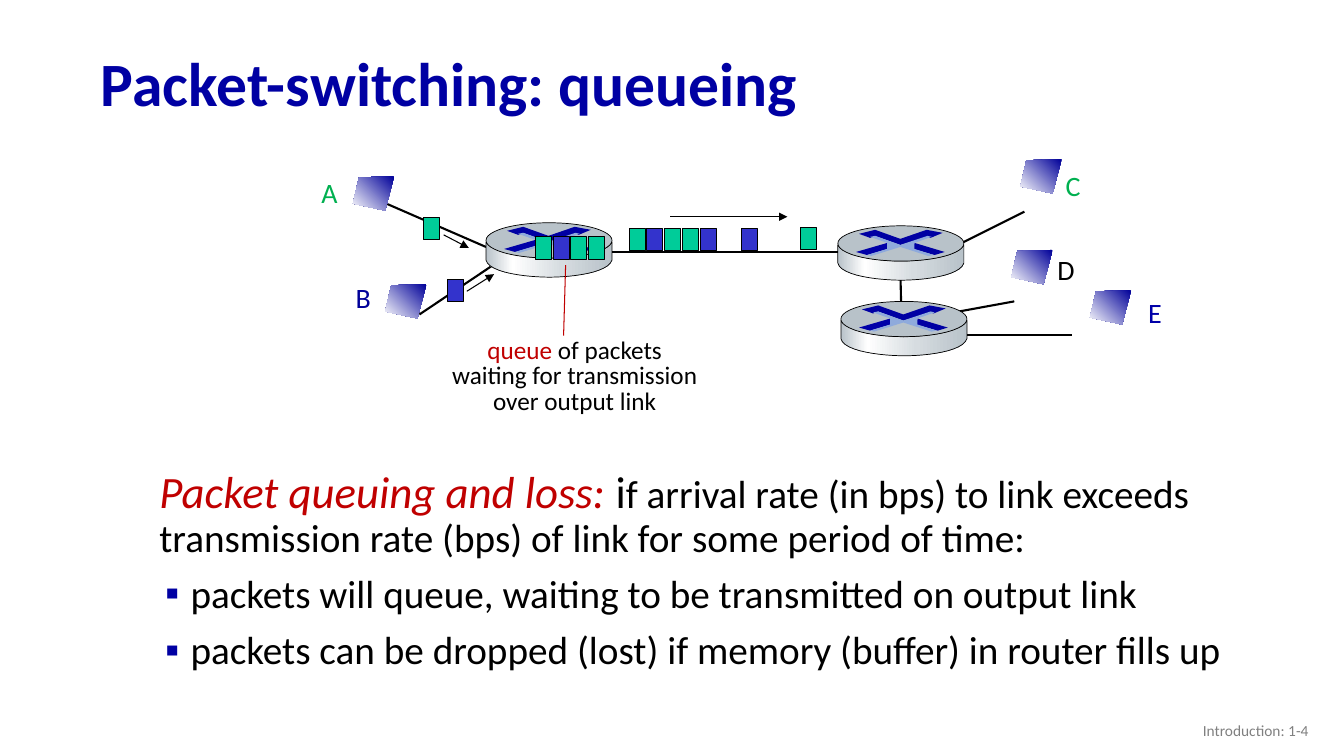
from dataclasses import dataclass

from lxml import etree
from pptx import Presentation
from pptx.dml.color import RGBColor
from pptx.enum.shapes import MSO_CONNECTOR, MSO_SHAPE
from pptx.enum.text import MSO_ANCHOR, MSO_AUTO_SIZE, PP_ALIGN
from pptx.oxml.ns import qn
from pptx.util import Inches, Pt

RECT, OVAL = MSO_SHAPE.RECTANGLE, MSO_SHAPE.OVAL
LINE = MSO_CONNECTOR.STRAIGHT
LEFT, MID, RIGHT = PP_ALIGN.LEFT, PP_ALIGN.CENTER, PP_ALIGN.RIGHT
TOP, CENTER = MSO_ANCHOR.TOP, MSO_ANCHOR.MIDDLE
FIXED = MSO_AUTO_SIZE.NONE
FONT = "Calibri"
BLACK, NAVY, RED, GREEN = "000000", "0000A3", "C00000", "00B050"
TEAL, BLUE, STEEL = "00CC99", "3333CC", "B8C2C9"
METAL = [(0, STEEL), (21, "FFFFFF"), (60, "D6DCE0"), (100, STEEL)]
GLASS = [(0, "000099"), (100, "FFFFFF")]

Points = list[tuple[float, float]]


@dataclass
class Link:
    x1: float
    y1: float
    x2: float
    y2: float
    width: float = 1.5
    color: str = BLACK
    arrow: bool = False


@dataclass
class Packet:
    x: float
    y: float
    color: str


@dataclass
class Host:
    name: str
    color: str
    x: float
    y: float
    text_x: float
    text_y: float


@dataclass
class Span:
    text: str
    size: float
    color: str
    bold: bool = False
    italic: bool = False


def rgb(code: str) -> RGBColor:
    return RGBColor.from_string(code)


def curve(a, b, c, d, steps: int = 12) -> Points:
    """Points on a cubic curve, without its first one."""
    out = []
    for i in range(1, steps + 1):
        t = i / steps
        u = 1 - t
        out.append(tuple(u**3 * p + 3 * u * u * t * q + 3 * u * t * t * r + t**3 * s
                         for p, q, r, s in zip(a, b, c, d)))
    return out


# Outlines, measured from the top left of a router or a screen
SIDE = [(1.25, .19), (1.25, .37),
        *curve((1.25, .37), (1.21, .5), (.84, .54), (.63, .54)),
        *curve((.63, .54), (.42, .54), (.03, .5), (0, .37)), (0, .19),
        *curve((0, .19), (.06, .3), (.41, .35), (.62, .35)),
        *curve((.62, .35), (.83, .35), (1.19, .31), (1.25, .19))]
MARKS = [
    (NAVY, [(.88, .04), (1.04, .07), (.92, .12), (.89, .11), (.62, .19), (.37, .1),
            (.32, .12), (.21, .08), (.37, .04), (.62, .13)]),
    (NAVY, [(.76, .17), (1.06, .26), (.96, .29), (.75, .23)]),
    ("0000A8", [(.49, .17), (.49, .23), (.29, .29), (.18, .26)]),
    ("8FAADC", [(.32, .11), (.37, .1), (.62, .19), (.89, .1), (.93, .11), (.76, .17),
                (.76, .23), (.95, .29), (.9, .3), (.62, .21), (.33, .3), (.29, .29),
                (.49, .23), (.49, .17)]),
]
SCREEN = [(.41, 0), (.06, .01), (0, .27), (.32, .34)]


def paint(shape, fill, width: float = 0, angle: float = 0) -> None:
    """Fill with a colour or with gradient stops; outline in black."""
    shape.shadow.inherit = False
    if isinstance(fill, str):
        shape.fill.solid()
        shape.fill.fore_color.rgb = rgb(fill)
    else:
        shape.fill.gradient()
        shape.fill.gradient_angle = angle
        stops = shape._element.spPr.find(qn("a:gradFill")).find(qn("a:gsLst"))
        for old in list(stops):
            stops.remove(old)
        for pos, code in fill:
            stop = etree.SubElement(stops, qn("a:gs"), pos=str(pos * 1000))
            etree.SubElement(stop, qn("a:srgbClr"), val=code)
    if width:
        shape.line.color.rgb = rgb(BLACK)
        shape.line.width = Pt(width)
    else:
        shape.line.fill.background()


def outline(slide, x: float, y: float, points: Points):
    spots = [(Inches(x + dx), Inches(y + dy)) for dx, dy in points]
    pen = slide.shapes.build_freeform(*spots[0])
    pen.add_line_segments(spots[1:], close=True)
    return pen.convert_to_shape()


def block(slide, kind, x: float, y: float, w: float, h: float, fill: str, width: float) -> None:
    shape = slide.shapes.add_shape(kind, Inches(x), Inches(y), Inches(w), Inches(h))
    paint(shape, fill, width)


def router(slide, x: float, y: float) -> None:
    paint(outline(slide, x, y, SIDE), METAL, .5)
    block(slide, OVAL, x, y, 1.25, .35, STEEL, .5)
    for color, points in MARKS:
        paint(outline(slide, x, y, points), color)


def draw(slide, link: Link) -> None:
    line = slide.shapes.add_connector(LINE, *map(Inches, (link.x1, link.y1, link.x2, link.y2)))
    line.line.color.rgb = rgb(link.color)
    line.line.width = Pt(link.width)
    if link.arrow:
        etree.SubElement(line.line._get_or_add_ln(), qn("a:tailEnd"), type="triangle")
    etree.SubElement(line._element.spPr, qn("a:effectLst"))


def place(shape, x: float, y: float, w: float, h: float) -> None:
    shape.left, shape.top, shape.width, shape.height = map(Inches, (x, y, w, h))


def write(frame, rows: list[list[Span]], align=LEFT, anchor=TOP, space: float = 1.0,
          wrap: bool = True) -> None:
    frame.word_wrap = wrap
    frame.auto_size = FIXED
    frame.vertical_anchor = anchor
    for i, row in enumerate(rows):
        para = frame.add_paragraph() if i else frame.paragraphs[0]
        para.alignment, para.line_spacing = align, space
        para.space_before = Pt(0)
        for span in row:
            run = para.add_run()
            run.text = span.text
            font = run.font
            font.name, font.size, font.color.rgb = FONT, Pt(span.size), rgb(span.color)
            font.bold, font.italic = span.bold, span.italic


def label(slide, x: float, y: float, w: float, h: float, rows: list[list[Span]], **style) -> None:
    box = slide.shapes.add_textbox(*map(Inches, (x, y, w, h)))
    write(box.text_frame, rows, **style)


def bullet(para, mark: str) -> None:
    props = para._p.get_or_add_pPr()
    props.set("marL", str(Inches(.31) if mark else 0))
    props.set("indent", str(Inches(-.25) if mark else 0))
    if not mark:
        etree.SubElement(props, qn("a:buNone"))
        return
    tint = etree.SubElement(props, qn("a:buClr"))
    etree.SubElement(tint, qn("a:srgbClr"), val=NAVY)
    etree.SubElement(props, qn("a:buFont"), typeface=FONT)
    etree.SubElement(props, qn("a:buChar"), char=mark)
    para.space_before = Pt(10)


LINKS = [Link(3.74, 1.98, 4.82, 2.45), Link(4.16, 3.12, 4.95, 2.59),
         Link(6.02, 2.5, 8.52, 2.5), Link(8.94, 3.1, 8.93, 2.7),
         Link(9.5, 2.43, 10.16, 2.1), Link(9.55, 3.32, 10.63, 3.32),
         Link(10.06, 2.99, 9.02, 3.18)]
FLOWS = [Link(6.65, 2.15, 7.81, 2.15, .75, arrow=True), Link(4.4, 2.33, 4.65, 2.46, .75, arrow=True),
         Link(4.63, 2.89, 4.9, 2.72, .75, arrow=True), Link(5.59, 3.33, 5.61, 2.63, .75, RED)]
HOSTS = [Host("A", GREEN, 3.5, 1.75, 3.09, 1.69), Host("B", "000099", 3.82, 2.82, 3.43, 2.73),
         Host("C", GREEN, 10.12, 1.58, 10.47, 1.62), Host("D", BLACK, 10.03, 2.48, 10.39, 2.46),
         Host("E", "0000A8", 10.81, 2.88, 11.29, 2.88)]
ROUTERS = [(8.31, 2.24), (8.34, 2.99), (4.82, 2.21)]
STEP = .176
QUEUE = [Packet(5.31 + i * STEP, 2.35, c) for i, c in enumerate([TEAL, BLUE, TEAL, TEAL])]
TRAIN = [Packet(6.24 + i * STEP, 2.27, c) for i, c in enumerate([TEAL, BLUE, TEAL, TEAL, BLUE])]
LONE = [Packet(7.35, 2.27, BLUE), Packet(7.94, 2.26, TEAL),
        Packet(4.44, 2.77, BLUE), Packet(4.2, 2.16, TEAL)]


def main() -> None:
    deck = Presentation()
    deck.slide_width, deck.slide_height = Inches(13.33), Inches(7.5)
    slide = deck.slides.add_slide(deck.slide_layouts[1])

    # Title and list
    title, body = slide.shapes.title, slide.placeholders[1]
    place(title, .9, .37, 11.5, .98)
    write(title.text_frame, [[Span("Packet-switching: queueing", 44, NAVY, bold=True)]],
          anchor=CENTER, space=.9)
    place(body, 1.48, 4.61, 11.32, 2.44)
    write(body.text_frame, [
        [Span("Packet queuing and loss: ", 32, RED, italic=True), Span("i", 32, BLACK),
         Span("f arrival rate (in bps) to link exceeds transmission rate (bps) of link "
              "for some period of time:", 28, BLACK)],
        [Span("packets will queue, waiting to be transmitted on output link", 28, BLACK)],
        [Span("packets can be dropped (lost) if memory (buffer) in router fills up", 28, BLACK)],
    ], space=.9)
    for para, mark in zip(body.text_frame.paragraphs, ["", "▪", "▪"]):
        bullet(para, mark)

    # Network
    for link in LINKS:
        draw(slide, link)
    for host in HOSTS:
        paint(outline(slide, host.x, host.y, SCREEN), GLASS, angle=225)
        label(slide, host.text_x, host.text_y, .36, .44, [[Span(host.name, 20, host.color)]], wrap=False)
    for x, y in ROUTERS:
        router(slide, x, y)

    # Packets and flow
    for packet in QUEUE + TRAIN + LONE:
        block(slide, RECT, packet.x, packet.y, .16, .22, packet.color, .75)
    for flow in FLOWS:
        draw(slide, flow)
    label(slide, 4.23, 3.31, 2.94, .88, [
        [Span("queue", 18, RED), Span(" of packets", 18, BLACK)],
        [Span("waiting for transmission over output link", 18, BLACK)],
    ], align=MID, space=.85)

    # Footer
    label(slide, 10.08, 7.05, 3, .4, [[Span("Introduction: 1-4", 11, "808080")]],
          align=RIGHT, anchor=CENTER)
    deck.save("out.pptx")


if __name__ == "__main__":
    main()
